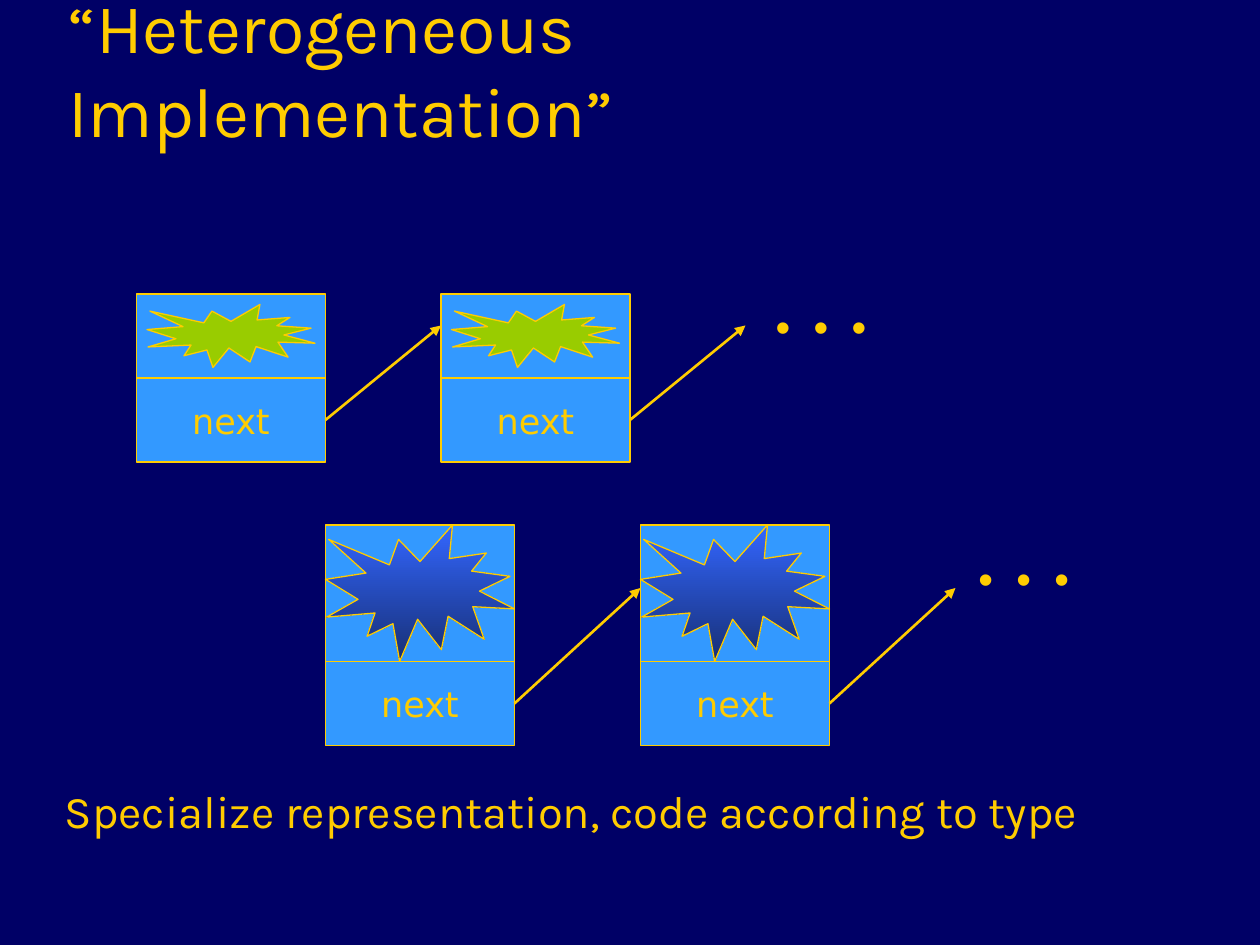
from dataclasses import dataclass

from lxml.etree import SubElement
from pptx import Presentation
from pptx.dml.color import RGBColor
from pptx.enum.shapes import MSO_CONNECTOR, MSO_SHAPE
from pptx.enum.text import MSO_ANCHOR, MSO_AUTO_SIZE, PP_ALIGN
from pptx.oxml.ns import qn
from pptx.util import Inches, Length, Pt

NAVY, GOLD, SKY, LIME = "000066", "FFCC00", "3399FF", "99CC00"
ROYAL, DEEP = "3366FF", "172F75"
NODE_WIDTH, NEXT_HEIGHT = 18, 8


@dataclass(frozen=True)
class ListRow:
    """A linked list; all lengths are in grid cells."""
    columns: tuple[float, ...]
    top: float
    payload_height: float
    burst_inset: float
    burst_colors: tuple[str, ...]
    arrow_reach: float
    arrow_end: float
    dots_at: tuple[float, float]
    dots_width: float


ROWS = (
    ListRow((13, 42), 28, 8, 1, (LIME,), 11, 31, (72.7, 28), 11.5),
    ListRow((31, 61), 50, 13, 0, (ROYAL, DEEP), 12, 56, (92, 52), 22),
)


def cells(count: float) -> Length:
    """Grid of twelve cells to the inch."""
    return Inches(count / 12)


def rgb(color: str) -> RGBColor:
    return RGBColor.from_string(color)


def style_text(frame, text: str, size: float, font: str, align=PP_ALIGN.LEFT) -> None:
    frame.text = text
    paragraph = frame.paragraphs[0]
    paragraph.alignment = align
    paragraph.font.size = Pt(size)
    paragraph.font.name = font
    paragraph.font.color.rgb = rgb(GOLD)


def add_label(slide, text: str, left: float, top: float, width: float,
              height: float, size: float, font: str):
    box = slide.shapes.add_textbox(*map(cells, (left, top, width, height)))
    box.text_frame.word_wrap = True
    style_text(box.text_frame, text, size, font)
    return box


def add_outlined(shapes, kind, left: float, top: float, width: float,
                 height: float, colors: tuple[str, ...]):
    """One colour gives a solid fill, two a gradient from top to bottom."""
    shape = shapes.add_shape(kind, *map(cells, (left, top, width, height)))
    shape.shadow.inherit = False
    if len(colors) == 1:
        shape.fill.solid()
        shape.fill.fore_color.rgb = rgb(colors[0])
    else:
        shape.fill.gradient()
        shape.fill.gradient_angle = 270
        for position, (stop, color) in enumerate(zip(shape.fill.gradient_stops, colors)):
            stop.position = position
            stop.color.rgb = rgb(color)
    shape.line.color.rgb = rgb(GOLD)
    shape.line.width = Pt(0.75)
    return shape


def add_node(slide, row: ListRow, left: float):
    """Draw a payload above its next field, and return the next field."""
    node = slide.shapes.add_group_shape().shapes
    add_outlined(node, MSO_SHAPE.RECTANGLE, left, row.top, NODE_WIDTH,
                 row.payload_height, (SKY,))
    next_field = add_outlined(node, MSO_SHAPE.RECTANGLE, left,
                              row.top + row.payload_height, NODE_WIDTH, NEXT_HEIGHT, (SKY,))
    frame = next_field.text_frame
    frame.word_wrap = False
    frame.vertical_anchor = MSO_ANCHOR.MIDDLE
    style_text(frame, "next", 20, "DejaVu Sans", PP_ALIGN.CENTER)
    inset = row.burst_inset
    add_outlined(node, MSO_SHAPE.EXPLOSION1, left + inset, row.top + inset,
                 NODE_WIDTH - 2 * inset, row.payload_height - 2 * inset, row.burst_colors)
    return next_field


def add_pointer(slide, next_field, row: ListRow, left: float) -> None:
    start = left + NODE_WIDTH
    middle = row.top + row.payload_height + NEXT_HEIGHT / 2
    arrow = slide.shapes.add_connector(
        MSO_CONNECTOR.STRAIGHT,
        *map(cells, (start, middle, start + row.arrow_reach, row.arrow_end)))
    arrow.begin_connect(next_field, 3)
    arrow.line.color.rgb = rgb(GOLD)
    arrow.line.width = Pt(1.5)
    SubElement(arrow.line._get_or_add_ln(), qn("a:tailEnd"), type="triangle")
    SubElement(arrow._element.spPr, qn("a:effectLst"))


def main() -> None:
    prs = Presentation()
    prs.slide_width, prs.slide_height = Inches(10), Inches(7.5)
    slide = prs.slides.add_slide(prs.slide_layouts[5])
    slide.background.fill.solid()
    slide.background.fill.fore_color.rgb = rgb(NAVY)

    title = slide.shapes.title
    title.left, title.top, title.width, title.height = map(
        Inches, (0.44, 0.25, 8.5, 1))
    title.text_frame.auto_size = MSO_AUTO_SIZE.NONE
    title.text_frame.vertical_anchor = MSO_ANCHOR.BOTTOM
    style_text(title.text_frame, "“Heterogeneous Implementation”", 40, "Karla")

    summary = add_label(slide, "Specialize representation, code according to type",
                        4, 74, 110, 10, 25.9, "Karla")
    summary.text_frame.margin_left = Inches(0.18)

    for row in ROWS:
        for left in row.columns:
            next_field = add_node(slide, row, left)
            add_pointer(slide, next_field, row, left)
        add_label(slide, "•  •  •", *row.dots_at, row.dots_width, 6, 24, "Arial")

    prs.save("out.pptx")


if __name__ == "__main__":
    main()
